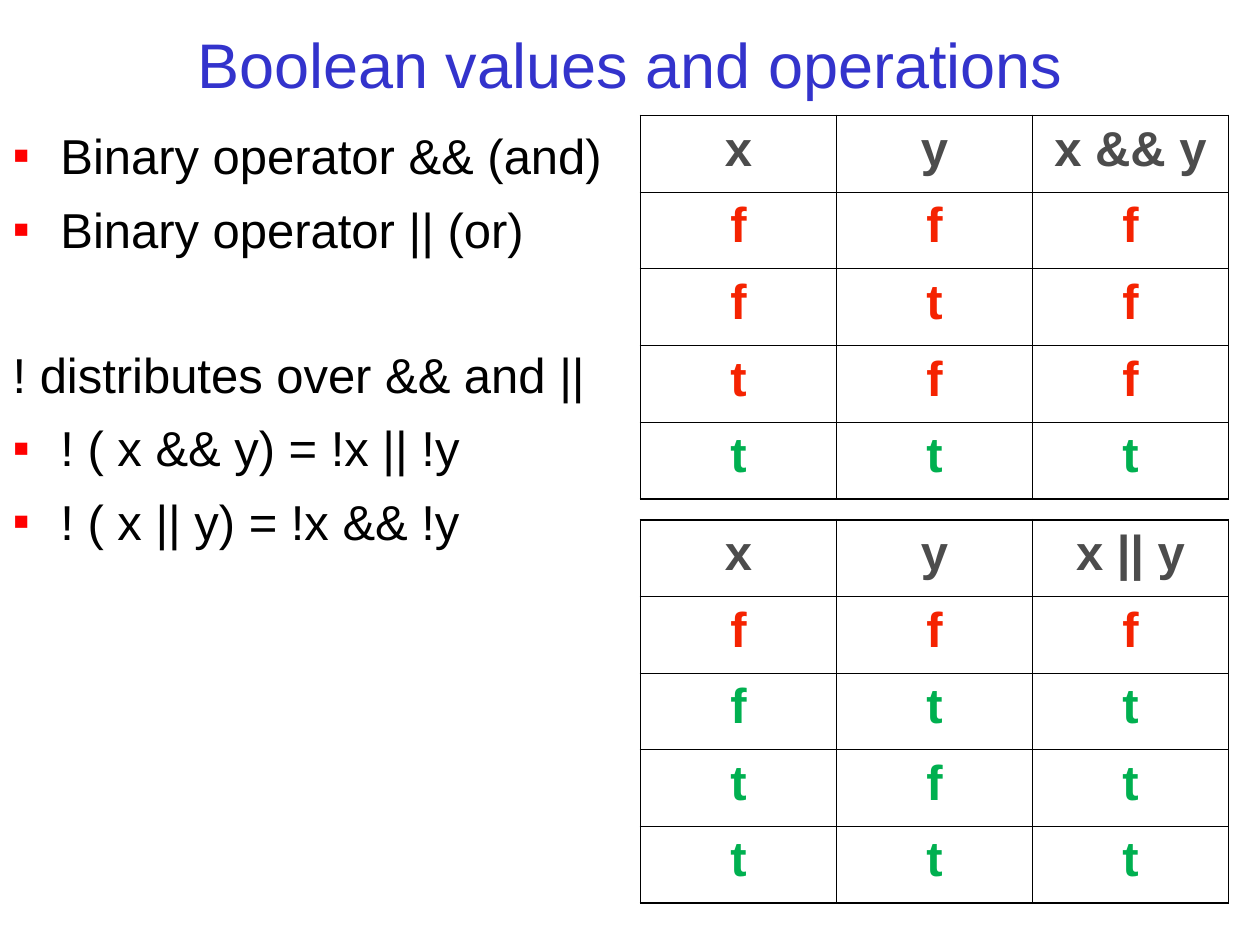
from itertools import product

from lxml.etree import SubElement
from pptx import Presentation
from pptx.dml.color import RGBColor
from pptx.enum.text import MSO_ANCHOR, MSO_AUTO_SIZE, PP_ALIGN
from pptx.oxml.ns import qn
from pptx.util import Inches, Pt

GRID = Inches(1) / 12
BLUE, BLACK, GREY = "3333CC", "000000", "4C4C4C"
BULLET_RED, FALSE_RED, TRUE_GREEN = "FF0000", "F52301", "00B050"
OUTER, INNER = 1.08, 0.45
INDENT = Inches(0.38)
LINE_GAP, SECTION_GAP = 8.4, 49.4


def color(value):
    return RGBColor.from_string(value)


def apply(target, values):
    for name, value in values.items():
        setattr(target, name, value)


def box(*cells):
    names = ("left", "top", "width", "height")
    return {name: round(cell * GRID) for name, cell in zip(names, cells)}


class SlideBuilder:
    font = "Arial"
    body_size = 28

    def __init__(self, slide):
        self.slide = slide

    def add_text(self, paragraph, text, size, fill, bold=False):
        run = paragraph.add_run()
        run.text = text
        apply(run.font, {"name": self.font, "size": Pt(size), "bold": bold})
        run.font.color.rgb = color(fill)

    def title(self, text, place):
        shape = self.slide.shapes.title
        apply(shape, place)
        apply(shape.text_frame, {
            "vertical_anchor": MSO_ANCHOR.MIDDLE,
            "auto_size": MSO_AUTO_SIZE.NONE,
            "word_wrap": True,
        })
        paragraph = shape.text_frame.paragraphs[0]
        paragraph.alignment = PP_ALIGN.CENTER
        self.add_text(paragraph, text, 36, BLUE)

    def bullets(self, items, place):
        shape = self.slide.placeholders[1]
        apply(shape, place)
        frame = shape.text_frame
        apply(frame, {
            "auto_size": MSO_AUTO_SIZE.NONE,
            "word_wrap": True,
            "margin_top": Inches(0.08),
        })
        for index, (text, bulleted, gap) in enumerate(items):
            paragraph = frame.add_paragraph() if index else frame.paragraphs[0]
            self.bullet(paragraph, bulleted)
            paragraph.space_before = Pt(gap)
            self.add_text(paragraph, text, self.body_size, BLACK)

    def bullet(self, paragraph, bulleted):
        properties = paragraph._p.get_or_add_pPr()
        properties.set("marL", str(INDENT))
        properties.set("indent", str(-INDENT))
        if bulleted:
            bullet_color = SubElement(properties, qn("a:buClr"))
            SubElement(bullet_color, qn("a:srgbClr"), val=BULLET_RED)
            SubElement(properties, qn("a:buFont"), typeface=self.font)
            SubElement(properties, qn("a:buChar"), char="▪")
        else:
            SubElement(properties, qn("a:buNone"))

    def border(self, cell, side, width):
        properties = cell._tc.get_or_add_tcPr()
        line = SubElement(properties, qn(f"a:ln{side}"), w=str(Pt(width)))
        fill = SubElement(line, qn("a:solidFill"))
        SubElement(fill, qn("a:srgbClr"), val=BLACK)

    def truth_table(self, rows, place):
        row_count, column_count = len(rows), len(rows[0])
        table = self.slide.shapes.add_table(row_count, column_count, **place).table
        apply(table, {"first_row": False, "horz_banding": False})
        row_colors = [GREY] + [
            TRUE_GREEN if row[-1] == "t" else FALSE_RED for row in rows[1:]
        ]
        for row, column in product(range(row_count), range(column_count)):
            cell = table.cell(row, column)
            at_edge = {
                "L": column == 0,
                "R": column == column_count - 1,
                "T": row == 0,
                "B": row == row_count - 1,
            }
            for side, outer in at_edge.items():
                self.border(cell, side, OUTER if outer else INNER)
            cell.fill.background()
            paragraph = cell.text_frame.paragraphs[0]
            paragraph.alignment = PP_ALIGN.CENTER
            self.add_text(paragraph, rows[row][column], self.body_size,
                          row_colors[row], bold=True)


def truth_rows(operator, operation):
    rows = [("x", "y", f"x {operator} y")]
    for values in product((False, True), repeat=2):
        results = (*values, operation(values))
        rows.append(["t" if value else "f" for value in results])
    return rows


def main():
    presentation = Presentation()
    apply(presentation, {"slide_width": Inches(10), "slide_height": Inches(7.5)})
    slide = presentation.slides.add_slide(presentation.slide_layouts[1])
    builder = SlideBuilder(slide)
    builder.title("Boolean values and operations", box(3, 2, 114, 8))
    builder.bullets([
        ("Binary operator && (and)", True, 0),
        ("Binary operator || (or)", True, LINE_GAP),
        ("! distributes over && and ||", False, SECTION_GAP),
        ("! ( x && y) = !x || !y", True, LINE_GAP),
        ("! ( x || y) = !x && !y", True, LINE_GAP),
    ], box(0, 11, 59, 75))
    for operator, operation, top in (("||", any, 49.5), ("&&", all, 11)):
        builder.truth_table(truth_rows(operator, operation), box(61, top, 56, 36.5))
    presentation.save("out.pptx")


if __name__ == "__main__":
    main()
